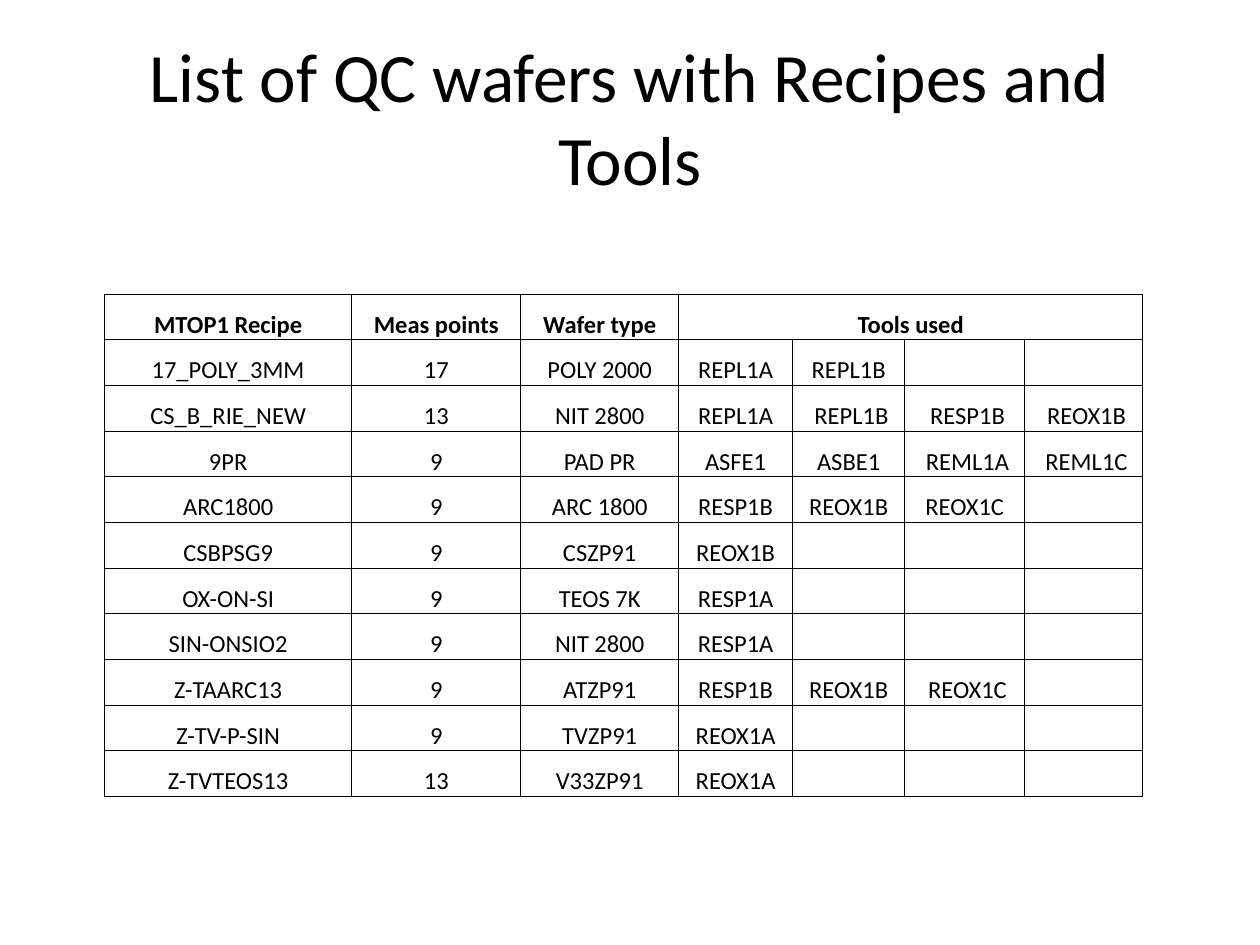
from dataclasses import dataclass

from lxml import etree
from pptx import Presentation
from pptx import util as u
from pptx.dml.color import RGBColor
from pptx.enum import text
from pptx.oxml.ns import qn


@dataclass(frozen=True)
class Theme:
    """Colours, font and type sizes of the slide."""
    ink: str = "000000"
    paper: str = "FFFFFF"
    font: str = "Calibri"
    title_size: float = 39.6
    cell_size: float = 14
    rule_width: float = 0.5


THEME = Theme()
HEADINGS = ["MTOP1 Recipe", "Meas points", "Wafer type", "Tools used"]
COLUMN_WIDTHS = [4.98, 3.41, 3.18, 2.3, 2.26, 2.42, 2.38]
ROW_HEIGHT = 0.92
WAFERS = [
    ["17_POLY_3MM", "17", "POLY 2000", "REPL1A", "REPL1B"],
    ["CS_B_RIE_NEW", "13", "NIT 2800", "REPL1A", " REPL1B", " RESP1B", " REOX1B"],
    ["9PR", "9", "PAD PR", "ASFE1", "ASBE1", " REML1A", " REML1C"],
    ["ARC1800", "9", "ARC 1800", "RESP1B", "REOX1B", "REOX1C"],
    ["CSBPSG9", "9", "CSZP91", "REOX1B"],
    ["OX-ON-SI", "9", "TEOS 7K", "RESP1A"],
    ["SIN-ONSIO2", "9", "NIT 2800", "RESP1A"],
    ["Z-TAARC13", "9", "ATZP91", "RESP1B", "REOX1B", " REOX1C"],
    ["Z-TV-P-SIN", "9", "TVZP91", "REOX1A"],
    ["Z-TVTEOS13", "13", "V33ZP91", "REOX1A"],
]


def write(frame, words, size, bold=False):
    """Put one centred run into a text frame."""
    line = frame.paragraphs[0]
    line.alignment = text.PP_ALIGN.CENTER
    run = line.add_run()
    run.text = words
    run.font.name = THEME.font
    run.font.size = u.Pt(size)
    run.font.bold = bold
    run.font.color.rgb = RGBColor.from_string(THEME.ink)


def add_title(slide, left, top, width, height):
    """Place the slide title, centred in its box."""
    title = slide.shapes.add_textbox(
        u.Cm(left), u.Cm(top), u.Cm(width), u.Cm(height)).text_frame
    title.word_wrap = True
    title.vertical_anchor = text.MSO_ANCHOR.MIDDLE
    write(title, "List of QC wafers with Recipes and Tools", THEME.title_size)


def format_cell(cell):
    """Give a cell thin rules on all sides, no fill and tight insets."""
    properties = cell._tc.get_or_add_tcPr()
    for side in ("a:lnL", "a:lnR", "a:lnT", "a:lnB"):
        rule = etree.SubElement(properties, qn(side), w=str(u.Pt(THEME.rule_width)))
        fill = etree.SubElement(rule, qn("a:solidFill"))
        etree.SubElement(fill, qn("a:srgbClr"), val=THEME.ink)
    cell.fill.background()
    cell.vertical_anchor = text.MSO_ANCHOR.BOTTOM
    cell.margin_left = cell.margin_right = cell.margin_top = u.Cm(0.02)
    cell.margin_bottom = 0


def add_wafer_table(slide, left, top):
    """Place the table of wafers, with one heading over all tool columns."""
    rows = [HEADINGS] + WAFERS
    table = slide.shapes.add_table(
        len(rows), len(COLUMN_WIDTHS), u.Cm(left), u.Cm(top),
        u.Cm(sum(COLUMN_WIDTHS)), u.Cm(ROW_HEIGHT * len(rows))).table
    table.first_row = table.horz_banding = False
    for column, width in zip(table.columns, COLUMN_WIDTHS):
        column.width = u.Cm(width)
    for row in table.rows:
        row.height = u.Cm(ROW_HEIGHT)
    for cell in table.iter_cells():
        format_cell(cell)
    table.cell(0, len(HEADINGS) - 1).merge(table.cell(0, len(COLUMN_WIDTHS) - 1))
    for r, entries in enumerate(rows):
        for c, entry in enumerate(entries):
            write(table.cell(r, c).text_frame, entry, THEME.cell_size, bold=r == 0)


def main():
    """Build the slide and save it."""
    deck = Presentation()
    deck.slide_width, deck.slide_height = u.Cm(25.4), u.Cm(19.05)
    slide = deck.slides.add_slide(deck.slide_layouts[6])
    slide.background.fill.solid()
    slide.background.fill.fore_color.rgb = RGBColor.from_string(THEME.paper)
    add_title(slide, 1.27, 0.76, 22.86, 3.18)
    add_wafer_table(slide, 2.11, 5.93)
    deck.save("out.pptx")


main()
